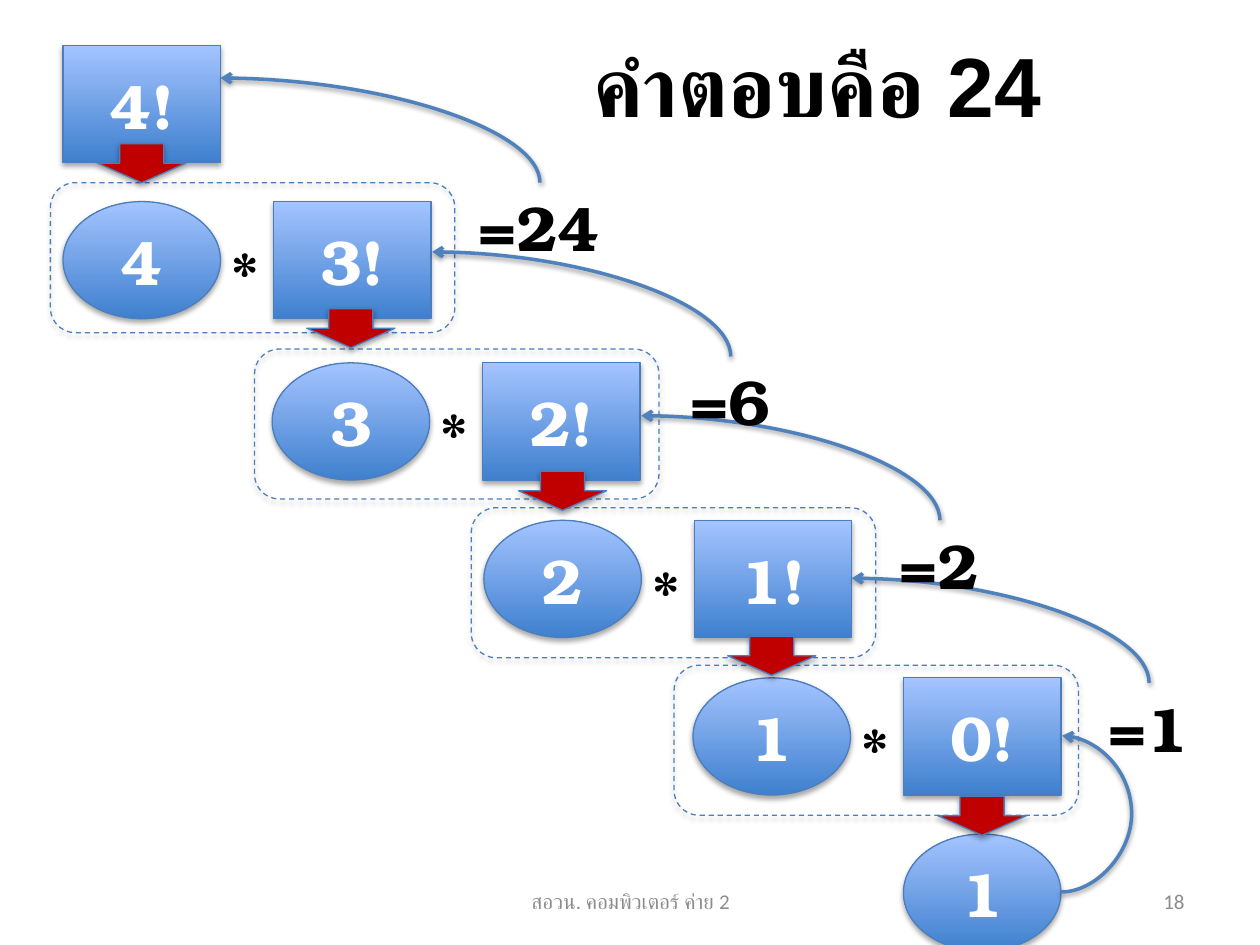
from dataclasses import dataclass

from lxml import etree
from pptx import Presentation
from pptx.dml.color import RGBColor
from pptx.enum.dml import MSO_LINE
from pptx.enum.shapes import MSO_CONNECTOR, MSO_SHAPE
from pptx.enum.text import MSO_ANCHOR, MSO_AUTO_SIZE, PP_ALIGN
from pptx.oxml.ns import qn
from pptx.util import Inches, Pt

RECTANGLE, ELLIPSE = MSO_SHAPE.RECTANGLE, MSO_SHAPE.OVAL
FRAME, DOWN_ARROW = MSO_SHAPE.ROUNDED_RECTANGLE, MSO_SHAPE.DOWN_ARROW
CURVE, DASH = MSO_CONNECTOR.CURVE, MSO_LINE.DASH
LEFT, CENTER, RIGHT = PP_ALIGN.LEFT, PP_ALIGN.CENTER, PP_ALIGN.RIGHT
MIDDLE = MSO_ANCHOR.MIDDLE

BLACK = RGBColor(0x00, 0x00, 0x00)
WHITE = RGBColor(0xFF, 0xFF, 0xFF)
GRAY = RGBColor(0x8C, 0x8C, 0x8C)
RED = RGBColor(0xC0, 0x00, 0x00)
DEEP_BLUE = RGBColor(0x3F, 0x80, 0xCE)
LIGHT_BLUE = RGBColor(0xA4, 0xC4, 0xFF)
OUTLINE_BLUE = RGBColor(0x4B, 0x7E, 0xBC)
CURVE_BLUE = RGBColor(0x4F, 0x81, 0xBD)

NUMBER_FONT = "TeX Gyre Bonum"
NODE_WIDTH, NODE_HEIGHT = 1.25, 0.93
FACTOR_GAP = 1.67
ARROW_WIDTH, ARROW_HEIGHT = 0.7, 0.31
ARROW_INDENT = (NODE_WIDTH - ARROW_WIDTH) / 2
RETURN_RISE = 0.83


@dataclass(frozen=True)
class Step:
    """One product n * (n-1)! and the value it returns."""
    number: int
    left: float
    top: float
    frame_left: float
    frame_top: float
    result: str
    result_left: float
    result_top: float
    result_width: float
    return_left: float


STEPS = (
    Step(4, 0.5, 1.6, 0.4, 1.45, "=24", 3.7, 1.45, 1.17, 1.75),
    Step(3, 2.16, 2.88, 2.02, 2.77, "=6", 5.38, 2.83, 0.84, 3.43),
    Step(2, 3.84, 4.13, 3.74, 4.03, "=2", 7.04, 4.13, 0.84, 5.09),
    Step(1, 5.5, 5.38, 5.35, 5.28, "=1", 8.7, 5.42, 0.84, 6.76),
)
BASE_LEFT, BASE_TOP = 7.17, 6.62
ARROW_TOPS = (1.14, 2.45, 3.74, 5.05, 6.32)


def write(shape, text: str, size: float, font_name: str, color: RGBColor,
          bold: bool = True, align=CENTER) -> None:
    paragraph = shape.text_frame.paragraphs[0]
    paragraph.alignment = align
    run = paragraph.add_run()
    run.text = text
    for font in (paragraph.font, run.font):
        font.size, font.name, font.bold = Pt(size), font_name, bold
        font.color.rgb = color


def add_shadow(shape, opacity: int, distance: float) -> None:
    properties = shape.element.spPr
    effects = properties.find(qn("a:effectLst"))
    if effects is None:
        effects = etree.SubElement(properties, qn("a:effectLst"))
    shadow = etree.SubElement(
        effects, qn("a:outerShdw"), blurRad=str(Pt(3.1)),
        dist=str(Pt(distance)), dir="5400000", rotWithShape="0")
    color = etree.SubElement(shadow, qn("a:srgbClr"), val=str(BLACK))
    etree.SubElement(color, qn("a:alpha"), val=str(opacity * 1000))


def add_outlined(shapes, kind, left: float, top: float, width: float, height: float):
    shape = shapes.add_shape(kind, Inches(left), Inches(top), Inches(width), Inches(height))
    shape.line.color.rgb = OUTLINE_BLUE
    shape.line.width = Pt(0.75)
    shape.shadow.inherit = False
    add_shadow(shape, 35, 1.8)
    return shape


def add_node(shapes, kind, left: float, top: float, text: str) -> None:
    node = add_outlined(shapes, kind, left, top, NODE_WIDTH, NODE_HEIGHT)
    node.fill.gradient()
    node.fill.gradient_angle = 90
    for stop, color in zip(node.fill.gradient_stops, (DEEP_BLUE, LIGHT_BLUE)):
        stop.color.rgb = color
    write(node, text, 36, NUMBER_FONT, WHITE)


def add_box(shapes, left: float, top: float, width: float, height: float):
    return shapes.add_textbox(Inches(left), Inches(top), Inches(width), Inches(height))


def add_label(shapes, left: float, top: float, width: float, text: str) -> None:
    label = add_box(shapes, left, top, width, 0.71)
    label.text_frame.word_wrap = False
    label.text_frame.auto_size = MSO_AUTO_SIZE.SHAPE_TO_FIT_TEXT
    write(label, text, 36, NUMBER_FONT, BLACK, align=LEFT)


def add_footer(shapes, left: float, width: float, text: str, align) -> None:
    footer = add_box(shapes, left, 6.95, width, 0.4)
    footer.text_frame.word_wrap = True
    footer.text_frame.vertical_anchor = MIDDLE
    write(footer, text, 12, "Calibri", GRAY, bold=False, align=align)


def add_curve(shapes, left: float, top: float, width: float, height: float):
    """Curved arrow from the lower left to the upper right of its box."""
    curve = shapes.add_connector(CURVE, Inches(left), Inches(top + height),
                                 Inches(left + width), Inches(top))
    curve.line.color.rgb = CURVE_BLUE
    curve.line.width = Pt(2)
    line = curve.element.spPr.find(qn("a:ln"))
    etree.SubElement(line, qn("a:tailEnd"), type="arrow")
    add_shadow(curve, 38, 1.6)
    return curve


def add_return(shapes, step: Step) -> None:
    """Quarter curve from a result up and left to the factorial it answers."""
    start_left = step.result_left + step.result_width / 2
    run = start_left - step.return_left
    center_left = step.return_left + run / 2
    center_top = step.result_top - RETURN_RISE / 2
    curve = add_curve(shapes, center_left - RETURN_RISE / 2, center_top - run / 2,
                      RETURN_RISE, run)
    properties = curve.element.spPr
    properties.find(qn("a:xfrm")).set("rot", "16200000")
    properties.find(qn("a:prstGeom")).set("prst", "curvedConnector2")


def add_base_return(shapes) -> None:
    """Half loop from the base value back to 0!."""
    curve = add_curve(shapes, BASE_LEFT + NODE_WIDTH, 5.84, 0.01, 1.24)
    geometry = curve.element.spPr.find(qn("a:prstGeom"))
    adjustments = geometry.find(qn("a:avLst"))
    if adjustments is None:
        adjustments = etree.SubElement(geometry, qn("a:avLst"))
    etree.SubElement(adjustments, qn("a:gd"), name="adj1", fmla="val 5700000")


def add_step(shapes, step: Step) -> None:
    members = shapes.add_group_shape().shapes
    add_node(members, ELLIPSE, step.left, step.top, str(step.number))
    add_node(members, RECTANGLE, step.left + FACTOR_GAP, step.top, f"{step.number - 1}!")
    add_label(members, step.left + 1.23, step.top + 0.21, 0.43, "*")
    frame = add_outlined(members, FRAME, step.frame_left, step.frame_top, 3.21, 1.19)
    frame.fill.background()
    frame.line.dash_style = DASH


def main() -> None:
    presentation = Presentation()
    presentation.slide_width, presentation.slide_height = Inches(10), Inches(7.5)
    slide = presentation.slides.add_slide(presentation.slide_layouts[5])
    shapes = slide.shapes

    # Title and footer
    title = shapes.title
    title.left, title.top = Inches(3.58), Inches(0.04)
    title.width, title.height = Inches(5.81), Inches(1.25)
    title.text_frame.vertical_anchor = MIDDLE
    write(title, "คำตอบคือ 24", 48, "Arial", BLACK)
    add_footer(shapes, 3.42, 3.17, "สอวน. คอมพิวเตอร์ ค่าย 2", CENTER)
    add_footer(shapes, 7.17, 2.33, "18", RIGHT)

    # First call, base value and the steps between them
    add_node(shapes, RECTANGLE, 0.5, 0.36, "4!")
    add_node(shapes, ELLIPSE, BASE_LEFT, BASE_TOP, "1")
    for step in STEPS:
        add_step(shapes, step)

    # Red arrows down to each next call
    call_lefts = [step.left for step in STEPS] + [BASE_LEFT]
    for left, top in zip(call_lefts, ARROW_TOPS):
        arrow = add_outlined(shapes, DOWN_ARROW, left + ARROW_INDENT, top,
                             ARROW_WIDTH, ARROW_HEIGHT)
        arrow.fill.solid()
        arrow.fill.fore_color.rgb = RED

    # Values returned, from the base upwards
    add_base_return(shapes)
    for step in reversed(STEPS):
        add_label(shapes, step.result_left, step.result_top, step.result_width, step.result)
        add_return(shapes, step)

    presentation.save("out.pptx")


if __name__ == "__main__":
    main()
